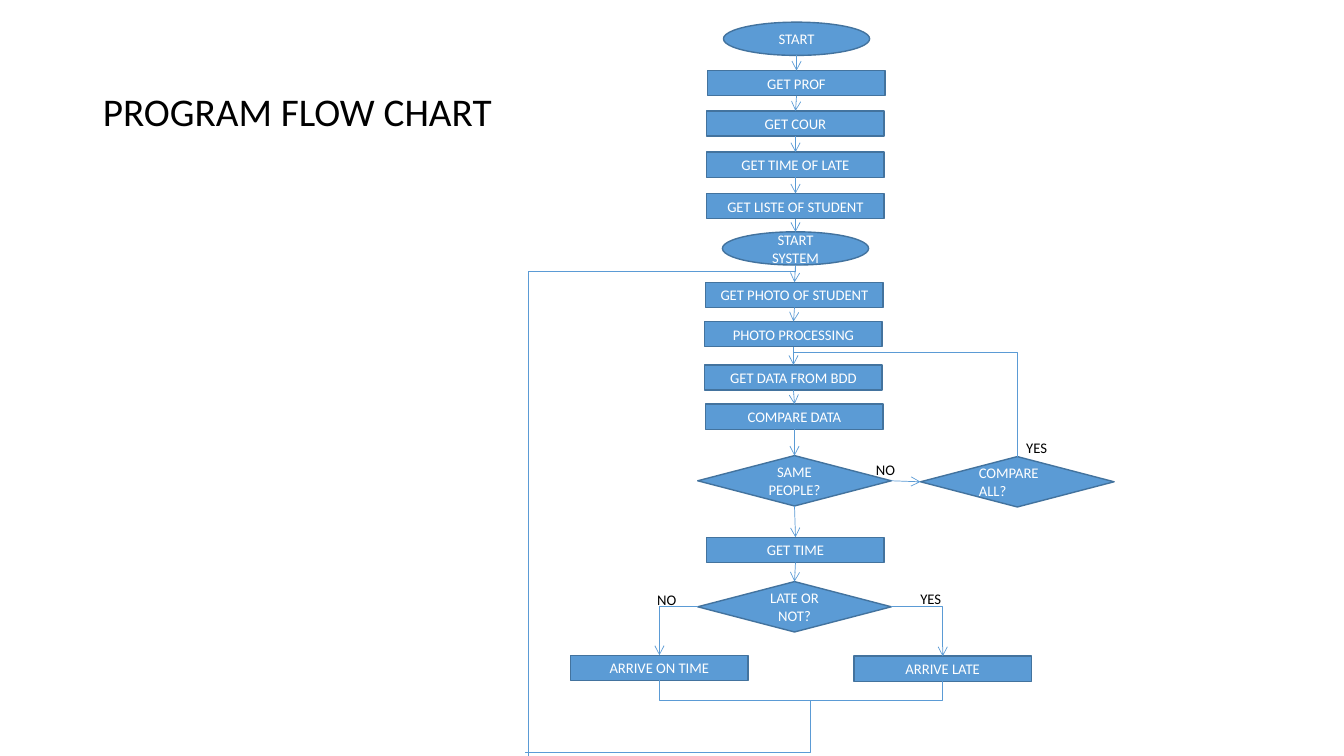
"""Build the program flow chart slide."""
from dataclasses import dataclass

from lxml import etree
from pptx import Presentation
from pptx.dml.color import RGBColor
from pptx.enum.shapes import MSO_CONNECTOR, MSO_SHAPE
from pptx.enum.text import MSO_ANCHOR, MSO_AUTO_SIZE, PP_ALIGN
from pptx.oxml.ns import qn
from pptx.shapes.shapetree import SlideShapes
from pptx.text.text import TextFrame
from pptx.util import Inches, Pt

RECT, OVAL, GEM = MSO_SHAPE.RECTANGLE, MSO_SHAPE.OVAL, MSO_SHAPE.DIAMOND
STRAIGHT = MSO_CONNECTOR.STRAIGHT
MIDDLE, TOP = MSO_ANCHOR.MIDDLE, MSO_ANCHOR.TOP
LEFT, CENTER, JUSTIFY = PP_ALIGN.LEFT, PP_ALIGN.CENTER, PP_ALIGN.JUSTIFY
FIXED = MSO_AUTO_SIZE.NONE
SIZES = {RECT: (1.76, 0.25), OVAL: (1.45, 0.33), GEM: (1.92, 0.5)}

Point = tuple[float, float]


@dataclass(frozen=True)
class Theme:
    """Colours, type sizes and line widths."""
    fill: RGBColor = RGBColor(0x5B, 0x9B, 0xD5)
    edge: RGBColor = RGBColor(0x43, 0x73, 0x9E)
    light: RGBColor = RGBColor(0xFF, 0xFF, 0xFF)
    dark: RGBColor = RGBColor(0, 0, 0)
    font: str = "Calibri"
    title: float = 28
    body: float = 10.5
    border: float = 1
    wire: float = 0.5


@dataclass(frozen=True)
class Node:
    """A step placed by its centre line and top."""
    text: str
    mid: float
    top: float
    kind: MSO_SHAPE = RECT
    align: PP_ALIGN = CENTER

    @property
    def size(self) -> Point:
        """Return width and height."""
        return SIZES[self.kind]

    @property
    def left(self) -> float:
        """Return the left edge."""
        return self.mid - self.size[0] / 2

    @property
    def right(self) -> float:
        """Return the right edge."""
        return self.mid + self.size[0] / 2

    @property
    def base(self) -> float:
        """Return the bottom edge."""
        return self.top + self.size[1]

    @property
    def level(self) -> float:
        """Return the height of the side corners."""
        return self.top + self.size[1] / 2


@dataclass(frozen=True)
class Label:
    """An answer beside a branch."""
    text: str
    left: float
    top: float


@dataclass(frozen=True)
class Wire:
    """A line through points, with or without an arrowhead."""
    points: list[Point]
    arrow: bool = False


THEME = Theme()

CHAIN = [
    Node("START", 7.9, 0.22, OVAL),
    Node("GET PROF", 7.9, 0.7),
    Node("GET COUR", 7.89, 1.1),
    Node("GET TIME OF LATE", 7.89, 1.51),
    Node("GET LISTE OF STUDENT", 7.89, 1.92),
    Node("START SYSTEM", 7.89, 2.3, OVAL),
    Node("GET PHOTO OF STUDENT", 7.88, 2.8),
    Node("PHOTO PROCESSING", 7.87, 3.19),
    Node("GET DATA FROM BDD", 7.87, 3.62),
    Node("COMPARE DATA", 7.88, 4.01),
    Node("SAME PEOPLE?", 7.88, 4.52, GEM),
    Node("GET TIME", 7.89, 5.33),
    Node("LATE OR NOT?", 7.88, 5.77, GEM),
]
SYSTEM, SAME, LATE = CHAIN[5], CHAIN[10], CHAIN[12]
ALL = Node("COMPARE ALL?", 10.09, 4.53, GEM, JUSTIFY)
EARLY = Node("ARRIVE ON TIME", 6.54, 6.5)
TARDY = Node("ARRIVE LATE", 9.35, 6.51)

LABELS = [
    Label("NO", 8.59, 4.52),
    Label("NO", 6.42, 5.81),
    Label("YES", 10.08, 4.3),
    Label("YES", 9.03, 5.8),
]

LOOP, JOIN, FLOOR = 5.24, 6.95, 7.46
WIRES = [Wire([(a.mid, a.base), (b.mid, b.top)], True)
         for a, b in zip(CHAIN, CHAIN[1:])] + [
    Wire([(SAME.right, SAME.level), (ALL.left, ALL.level)], True),
    Wire([(ALL.mid, ALL.top), (ALL.mid, 3.5), (SAME.mid, 3.5)]),
    Wire([(LATE.left, LATE.level), (EARLY.mid, LATE.level), (EARLY.mid, EARLY.top)], True),
    Wire([(LATE.right, LATE.level), (TARDY.mid, LATE.level), (TARDY.mid, TARDY.top)], True),
    Wire([(EARLY.mid, EARLY.base), (EARLY.mid, JOIN), (TARDY.mid, JOIN), (TARDY.mid, TARDY.base)]),
    Wire([(8.04, JOIN), (8.04, FLOOR), (5.21, FLOOR)]),
    Wire([(SYSTEM.mid, SYSTEM.base), (SYSTEM.mid, 2.69), (LOOP, 2.69), (LOOP, 7.5)]),
]


def write(frame: TextFrame, text: str, size: float, color: RGBColor,
          align: PP_ALIGN, anchor: MSO_ANCHOR) -> None:
    """Fill a text frame with one formatted paragraph."""
    frame.text = text
    para = frame.paragraphs[0]
    formats = {
        frame: {"word_wrap": True, "auto_size": FIXED, "vertical_anchor": anchor},
        para: {"alignment": align},
        para.font: {"name": THEME.font, "size": Pt(size)},
        para.font.fill: {},
    }
    for item, values in formats.items():
        for name, value in values.items():
            setattr(item, name, value)
    para.font.color.rgb = color


def draw_node(shapes: SlideShapes, node: Node) -> None:
    """Draw one step."""
    box = (node.left, node.top, *node.size)
    shape = shapes.add_shape(node.kind, *map(Inches, box))
    shape.shadow.inherit = False
    shape.fill.solid()
    shape.fill.fore_color.rgb = THEME.fill
    shape.line.color.rgb = THEME.edge
    shape.line.width = Pt(THEME.border)
    write(shape.text_frame, node.text, THEME.body, THEME.light, node.align, MIDDLE)


def draw_wire(shapes: SlideShapes, wire: Wire) -> None:
    """Draw a straight or bent line."""
    spots = [(Inches(x), Inches(y)) for x, y in wire.points]
    if len(spots) == 2:
        line = shapes.add_connector(STRAIGHT, *spots[0], *spots[1])
    else:
        pen = shapes.build_freeform(*spots[0])
        pen.add_line_segments(spots[1:], close=False)
        line = pen.convert_to_shape()
        line.fill.background()
    line.line.color.rgb = THEME.fill
    line.line.width = Pt(THEME.wire)
    props = line.element.spPr
    etree.SubElement(props, qn("a:effectLst"))
    if wire.arrow:
        etree.SubElement(props.find(qn("a:ln")), qn("a:tailEnd"), type="arrow")


def draw_label(shapes: SlideShapes, label: Label) -> None:
    """Draw one branch answer."""
    box = shapes.add_textbox(*map(Inches, (label.left, label.top, 0.5, 0.22)))
    write(box.text_frame, label.text, THEME.body, THEME.dark, JUSTIFY, TOP)


def main() -> None:
    """Build and save the slide."""
    deck = Presentation()
    deck.slide_width, deck.slide_height = Inches(13.33), Inches(7.5)
    shapes = deck.slides.add_slide(deck.slide_layouts[5]).shapes
    title = shapes.title
    place = {"left": 0.92, "top": 0.4, "width": 11.5, "height": 1.45}
    for name, value in place.items():
        setattr(title, name, Inches(value))
    write(title.text_frame, "PROGRAM FLOW CHART", THEME.title, THEME.dark, LEFT, MIDDLE)
    title.text_frame.paragraphs[0].line_spacing = 0.9
    for node in [*CHAIN, ALL, EARLY, TARDY]:
        draw_node(shapes, node)
    for wire in WIRES:
        draw_wire(shapes, wire)
    for label in LABELS:
        draw_label(shapes, label)
    deck.save("out.pptx")


if __name__ == "__main__":
    main()
